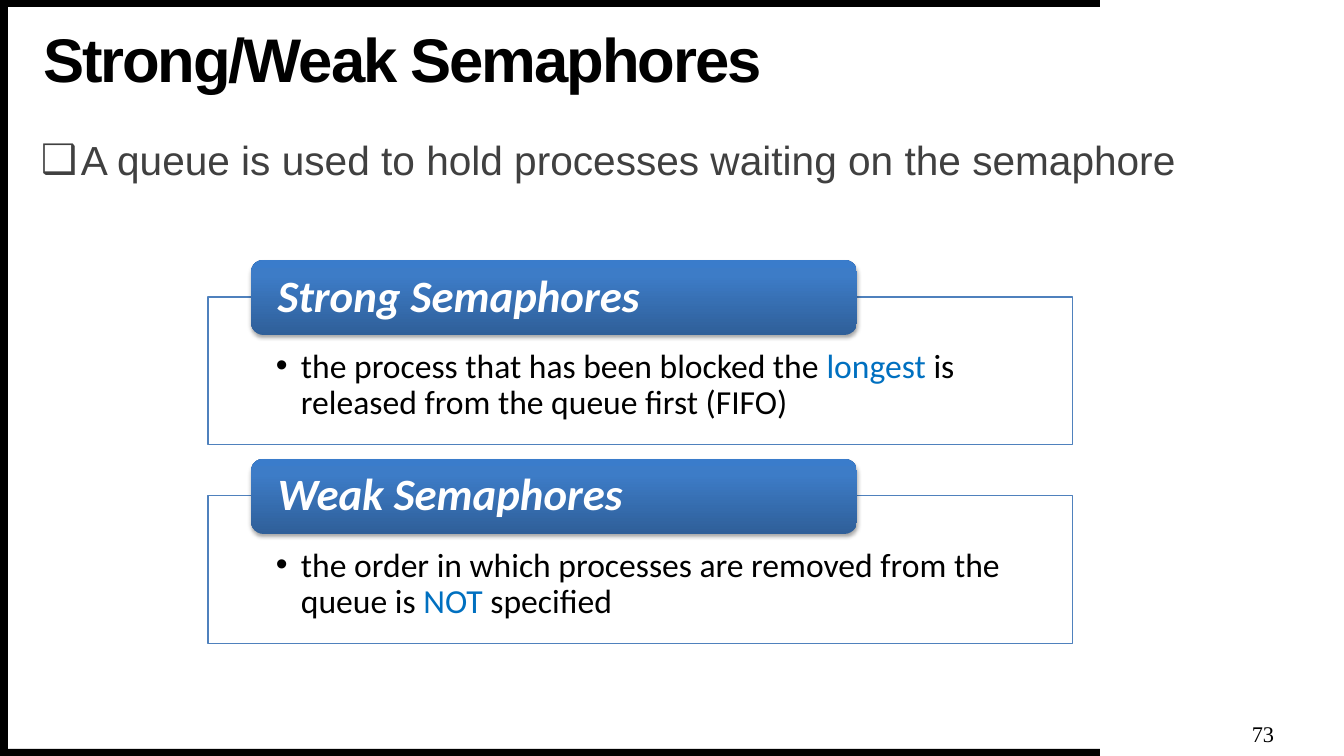
from lxml.etree import SubElement
from pptx import Presentation
from pptx.dml.color import RGBColor
from pptx.enum.shapes import MSO_SHAPE as Shape
from pptx.enum.text import MSO_ANCHOR as Anchor, MSO_AUTO_SIZE as AutoSize, PP_ALIGN as Align
from pptx.oxml.ns import qn
from pptx.util import Pt

PX = 914400 / 100.8
BLACK, WHITE, GRAY = "000000", "FFFFFF", "404040"
BLUE, BORDER = "0070C0", "4F81BD"
HEADER_STOPS = [(0, "2F5F99"), (80, "3D7CC7"), (100, "3A7CCB")]
PANEL_PITCH = 199
PANELS = [
    ("Strong Semaphores",
     [("the process that has been blocked the ", BLACK), ("longest", BLUE),
      (" is released from the queue first (FIFO)", BLACK)]),
    ("Weak Semaphores",
     [("the order in which processes are removed from the queue is ", BLACK),
      ("NOT", BLUE), (" specified", BLACK)]),
]


def px(length):
    return round(length * PX)


def color(hex_string):
    return RGBColor.from_string(hex_string)


def add_element(parent, tag, **attributes):
    return SubElement(parent, qn(tag), {name: str(value) for name, value in attributes.items()})


def place(shape, box):
    shape.left, shape.top, shape.width, shape.height = map(px, box)


def add_box(slide, kind, box):
    shape = slide.shapes.add_shape(kind, *map(px, box))
    shape.shadow.inherit = False
    shape.line.fill.background()
    return shape


def write(shape, parts, size, font, anchor=Anchor.TOP, align=Align.LEFT,
          insets=(0, 0, 0, 0), spacing=0.9, bold=False, italic=False):
    frame = shape.text_frame
    frame.word_wrap = True
    frame.auto_size = AutoSize.NONE
    frame.vertical_anchor = anchor
    frame.margin_left, frame.margin_top, frame.margin_right, frame.margin_bottom = map(px, insets)
    paragraph = frame.paragraphs[0]
    paragraph.alignment = align
    paragraph.line_spacing = spacing
    for text, hex_string in parts:
        run = paragraph.add_run()
        run.text = text
        run.font.size, run.font.name = Pt(size), font
        run.font.bold, run.font.italic = bold, italic
        run.font.color.rgb = color(hex_string)
    return paragraph


def add_bullet(paragraph, symbol, indent):
    properties = paragraph._p.get_or_add_pPr()
    properties.set("marL", str(px(indent)))
    properties.set("indent", str(-px(indent)))
    add_element(properties, "a:buFont", typeface="Arial")
    add_element(properties, "a:buChar", char=symbol)


def style_header(shape):
    # Three-stop gradient running upwards
    shape.fill.gradient()
    shape.fill.gradient_angle = 90
    stops = shape._element.spPr.find(qn("a:gradFill")).find(qn("a:gsLst"))
    for stop in list(stops):
        stops.remove(stop)
    for position, hex_string in HEADER_STOPS:
        stop = add_element(stops, "a:gs", pos=position * 1000)
        add_element(stop, "a:srgbClr", val=hex_string)
    # Soft shadow below
    effects = shape._element.spPr.find(qn("a:effectLst"))
    shadow = add_element(effects, "a:outerShdw", blurRad=Pt(3.1), dist=Pt(1.8),
                         dir=90 * 60000, rotWithShape=0)
    shade = add_element(shadow, "a:srgbClr", val=BLACK)
    add_element(shade, "a:alpha", val=35000)


def add_frame(slide, width, height):
    bars = [(0, height - 7, 1100, 7), (0, 0, 1100, 7), (0, 0, 8, height)]
    for box in bars:
        bar = add_box(slide, Shape.RECTANGLE, box)
        bar.fill.solid()
        bar.fill.fore_color.rgb = color(BLACK)


def add_title(slide, box):
    title = slide.shapes.title
    place(title, box)
    paragraph = write(title, [("Strong/Weak Semaphores", BLACK)], 44, "Arial",
                      anchor=Anchor.MIDDLE, bold=True)
    paragraph.runs[0].font._element.set("spc", "-150")


def add_statement(slide, box):
    statement = slide.shapes.add_textbox(*map(px, box))
    text = "A queue is used to hold processes waiting on the semaphore"
    paragraph = write(statement, [(text, GRAY)], 29, "Arial")
    paragraph.space_before = Pt(10)
    add_bullet(paragraph, "❑", 40)


def add_panel(slide, box, heading, parts):
    left, top, width, height = box
    # Outlined body
    body = add_box(slide, Shape.RECTANGLE, box)
    body.fill.solid()
    body.fill.fore_color.rgb = color(WHITE)
    fill = body._element.spPr.find(qn("a:solidFill"))
    add_element(fill[0], "a:alpha", val=90000)
    body.line.color.rgb = color(BORDER)
    body.line.width = Pt(0.75)
    paragraph = write(body, parts, 24, "Calibri", insets=(68, 52, 68, 19))
    add_bullet(paragraph, "•", 25)
    # Heading across the top edge
    header = add_box(slide, Shape.ROUNDED_RECTANGLE,
                     (left + 43, top - 37, round(width * 0.7), 75))
    style_header(header)
    write(header, [(heading, WHITE)], 32, "Calibri", anchor=Anchor.MIDDLE,
          insets=(23, 0, 23, 0), bold=True, italic=True)


def add_page_number(slide, box):
    number = slide.shapes.add_textbox(*map(px, box))
    write(number, [("73", BLACK)], 16, "Times New Roman", anchor=Anchor.MIDDLE,
          align=Align.CENTER, spacing=1.0)


def main():
    width, height = 1344, 756
    presentation = Presentation()
    presentation.slide_width, presentation.slide_height = px(width), px(height)
    slide = presentation.slides.add_slide(presentation.slide_layouts[5])
    add_frame(slide, width, height)
    add_title(slide, (43, 25, 1014, 75))
    add_statement(slide, (41, 140, 1179, 55))
    for index, (heading, parts) in enumerate(PANELS):
        add_panel(slide, (208, 297 + index * PANEL_PITCH, 865, 148), heading, parts)
    add_page_number(slide, (1248, 719, 30, 30))
    presentation.save("out.pptx")


if __name__ == "__main__":
    main()
